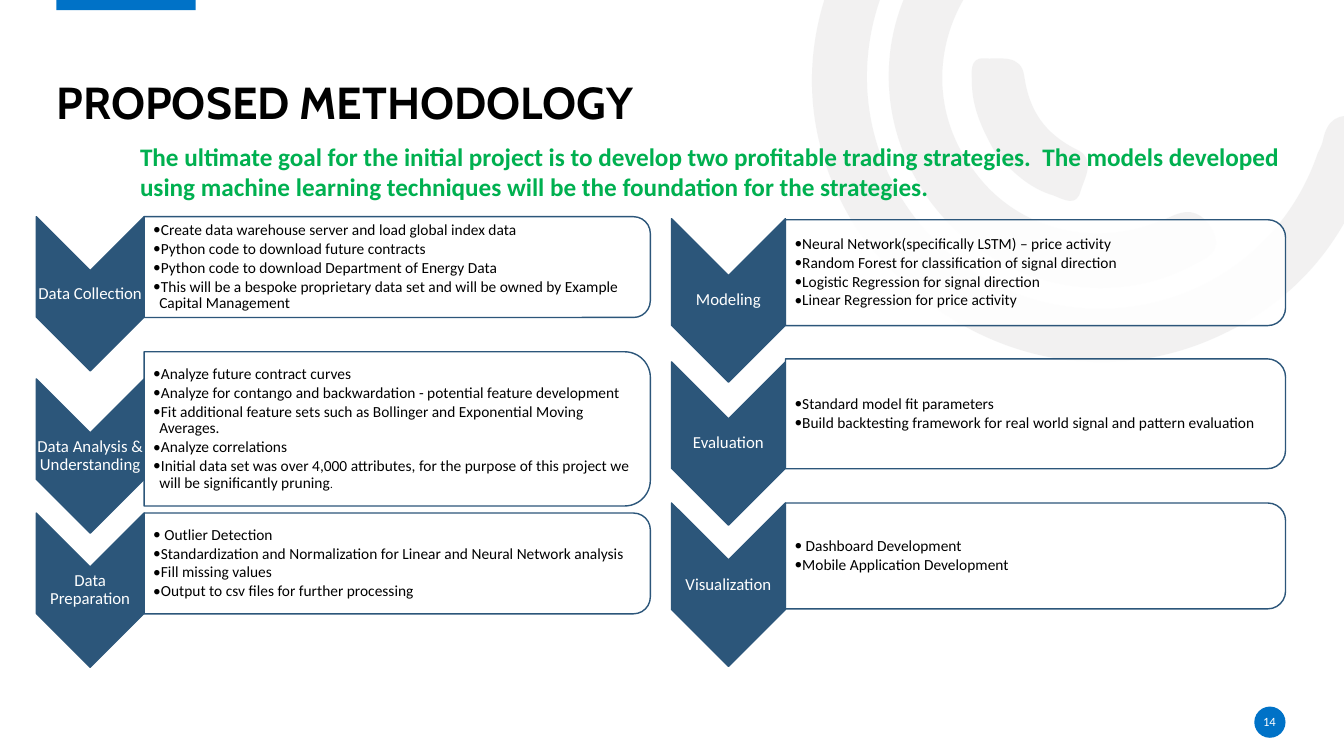
from lxml import etree
from pptx import Presentation
from pptx.dml.color import RGBColor
from pptx.enum.shapes import MSO_SHAPE as Kind
from pptx.enum.text import MSO_ANCHOR as Anchor, PP_ALIGN as Align
from pptx.oxml.ns import qn
from pptx.util import Inches, Pt

NAVY, BLUE, GREEN = "2C567A", "0072C7", "00B050"
WHITE, BLACK, GREY = "FFFFFF", "000000", "E7E6E6"

# Each ring is a start point followed by Bezier triples (two handles and an end).
RINGS = [
    [(8.51, 2.29), (7.99, 1.49), (7.87, 0.5), (8.38, -0.5),
     (8.9, -1.52), (9.76, -2.03), (10.9, -2.07),
     (11.05, -2.07), (11.21, -2.1), (11.31, -1.95),
     (11.44, -1.75), (11.27, -1.54), (10.98, -1.54),
     (9.67, -1.54), (8.65, -0.59), (8.6, 0.68),
     (8.56, 1.81), (9.36, 2.81), (10.46, 3.02),
     (11.6, 3.24), (12.7, 2.61), (13.07, 1.52),
     (13.09, 1.48), (13.11, 1.44), (13.12, 1.4),
     (13.16, 1.19), (13.27, 1.11), (13.49, 1.17),
     (13.73, 1.24), (13.67, 1.41), (13.61, 1.56),
     (13.34, 2.45), (12.78, 3.07), (11.91, 3.41),
     (10.7, 3.87), (9.36, 3.45), (8.51, 2.29)],
    [(9.22, 1.99), (8.62, 1.15), (8.69, 0.07), (9.4, -0.68),
     (9.51, -0.79), (9.62, -0.95), (9.8, -0.78),
     (9.95, -0.64), (9.97, -0.5), (9.79, -0.32),
     (9.25, 0.26), (9.2, 1.08), (9.65, 1.68),
     (10.08, 2.29), (10.88, 2.49), (11.61, 2.15),
     (11.82, 2.05), (11.93, 2.12), (12.03, 2.29),
     (12.13, 2.5), (11.97, 2.56), (11.83, 2.63),
     (10.96, 3.1), (9.83, 2.82), (9.22, 1.99)],
    [(9.87, 1.51), (9.75, 1.3), (9.64, 1.07), (9.64, 0.82),
     (9.64, 0.73), (9.61, 0.57), (9.76, 0.58),
     (9.92, 0.59), (10.13, 0.53), (10.16, 0.76),
     (10.21, 1.1), (10.36, 1.32), (10.67, 1.48),
     (10.88, 1.57), (10.76, 1.76), (10.72, 1.89),
     (10.68, 2.06), (10.55, 1.98), (10.45, 1.94),
     (10.21, 1.87), (10.03, 1.7), (9.87, 1.51)],
]

# Column: left, arrow width, arrow height, panel width, stages.
# Stage: label, arrow top, panel top, panel height, points.
COLUMNS = [
    (6.66, 1.13, 1.62, 4.96, [
        ("Modeling", 2.17, 2.18, 1.05, [
            "Neural Network(specifically LSTM) – price activity",
            "Random Forest for classification of signal direction",
            "Logistic Regression for signal direction",
            "Linear Regression for price activity"]),
        ("Evaluation", 3.59, 3.56, 1.09, [
            "Standard model fit parameters",
            "Build backtesting framework for real world signal and pattern evaluation"]),
        ("Visualization", 4.99, 4.99, 1.05, [
            " Dashboard Development",
            "Mobile Application Development"]),
    ]),
    (0.36, 1.07, 1.53, 5.02, [
        ("Data Collection", 2.15, 2.15, 1, [
            "Create data warehouse server and load global index data",
            "Python code to download future contracts",
            "Python code to download Department of Energy Data",
            "This will be a bespoke proprietary data set and will be owned by "
            "Example Capital Management"]),
        ("Data Analysis & Understanding", 3.76, 3.49, 1.53, [
            "Analyze future contract curves",
            "Analyze for contango and backwardation - potential feature development",
            "Fit additional feature sets such as Bollinger and Exponential Moving Averages.",
            "Analyze correlations",
            ("Initial data set was over 4,000 attributes, for the purpose of this "
             "project we will be significantly pruning", ".")]),
        ("Data Preparation", 5.09, 5.09, 1, [
            " Outlier Detection",
            "Standardization and Normalization for Linear and Neural Network analysis",
            "Fill missing values",
            "Output to csv files for further processing"]),
    ]),
]


def rgb(code):
    return RGBColor.from_string(code)


class Deck:
    def __init__(self, font="Calibri"):
        self.font = font
        self.show = Presentation()
        self.show.slide_width, self.show.slide_height = Inches(13.33), Inches(7.5)
        self.slide = self.show.slides.add_slide(self.show.slide_layouts[6])

    def paint(self, shape, fill, line=None, alpha=None):
        shape.shadow.inherit = False
        shape.fill.solid()
        shape.fill.fore_color.rgb = rgb(fill)
        if alpha:
            color = shape.fill._xPr.find(f".//{qn('a:srgbClr')}")
            etree.SubElement(color, qn("a:alpha")).set("val", str(alpha * 1000))
        if line:
            shape.line.color.rgb = rgb(line)
            shape.line.width = Pt(1)
        else:
            shape.line.fill.background()

    def shape(self, kind, x, y, w, h, fill, turn=False, **look):
        """Add a preset shape; with turn it is rotated 90° to fill the given box."""
        if turn:
            x, y, w, h = x + (w - h) / 2, y + (h - w) / 2, h, w
        item = self.slide.shapes.add_shape(kind, *map(Inches, (x, y, w, h)))
        item.rotation = 90 if turn else 0
        self.paint(item, fill, **look)

    def ring(self, ring):
        """Draw a closed outline, joining each three line steps into one curve."""
        start, *rest = [(Inches(x), Inches(y)) for x, y in ring]
        pen = self.slide.shapes.build_freeform(*start, scale=1.0)
        pen.add_line_segments(rest, close=True)
        item = pen.convert_to_shape()
        steps = list(item._element.iter(qn("a:lnTo")))
        for i in range(0, len(steps), 3):
            curve = etree.Element(qn("a:cubicBezTo"))
            steps[i].addprevious(curve)
            for step in steps[i:i + 3]:
                curve.append(step[0])
                step.getparent().remove(step)
        self.paint(item, GREY, alpha=53)

    def text(self, text, x, y, w, h, size=12, color=BLACK, bold=False, font=None,
             align=Align.LEFT, anchor=Anchor.MIDDLE, inset=(0, 0, 0, 0),
             lead=None, after=0, bullet=False, tail=8):
        """Add text; a list gives paragraphs, a tuple a run and a small tail."""
        frame = self.slide.shapes.add_textbox(*map(Inches, (x, y, w, h))).text_frame
        frame.word_wrap = True
        frame.vertical_anchor = anchor
        (frame.margin_left, frame.margin_top,
         frame.margin_right, frame.margin_bottom) = map(Inches, inset)
        for i, line in enumerate(text if isinstance(text, list) else [text]):
            para = frame.add_paragraph() if i else frame.paragraphs[0]
            if bullet:
                props = para._p.get_or_add_pPr()
                props.set("marL", str(Inches(0.06)))
                props.set("indent", str(Inches(-0.06)))
                etree.SubElement(props, qn("a:buFont")).set("typeface", self.font)
                etree.SubElement(props, qn("a:buChar")).set("char", "•")
            para.font.size = Pt(size)
            para.font.name = font or self.font
            para.alignment = align
            para.space_after = Pt(after)
            if lead:
                para.line_spacing = lead
            for n, part in enumerate(line if isinstance(line, tuple) else (line,)):
                run = para.add_run()
                run.text = part
                run.font.name = font or self.font
                run.font.size = Pt(tail if n else size)
                run.font.bold = bold
                run.font.color.rgb = rgb(color)

    def stage(self, x, wide, tall, span, label, top, y, h, points):
        """Add a down arrow with its label and the panel of points beside it."""
        self.shape(Kind.CHEVRON, x, top, wide, tall, NAVY, turn=True, line=NAVY)
        self.text(label, x, top + wide / 2, wide, tall - wide, color=WHITE,
                  align=Align.CENTER, inset=[0.01] * 4, lead=0.9)
        left = x + wide
        self.shape(Kind.ROUND_2_SAME_RECTANGLE, left, y, span, h, WHITE,
                   turn=True, line=NAVY, alpha=90)
        self.text(points, left, y + 0.05, span - 0.05, h - 0.1, size=11,
                  inset=(0.09, 0.01, 0.01, 0.01), lead=0.9, after=1.6, bullet=True)


def main():
    deck = Deck()
    for ring in RINGS:
        deck.ring(ring)
    deck.shape(Kind.RECTANGLE, 0.56, -0.02, 1.38, 0.12, BLUE)
    deck.shape(Kind.OVAL, 12.44, 7.01, 0.31, 0.31, BLUE)
    deck.text("PROPOSED METHODOLOGY", 0.56, 0.27, 12.19, 1.01, size=32, bold=True,
              font="Cabin", anchor=Anchor.BOTTOM, lead=0.9)
    deck.text("14", 12.43, 7.06, 0.32, 0.2, size=9, color=WHITE, align=Align.CENTER)
    for *column, stages in COLUMNS:
        for stage in stages:
            deck.stage(*column, *stage)
    deck.text("The ultimate goal for the initial project is to develop two profitable "
              "trading strategies.  The models developed using machine learning "
              "techniques will be the foundation for the strategies.",
              1.29, 1.35, 11.61, 0.71, size=18, color=GREEN, bold=True,
              anchor=Anchor.TOP, inset=(0.1, 0.05, 0.1, 0.05))
    deck.show.save("out.pptx")


if __name__ == "__main__":
    main()
